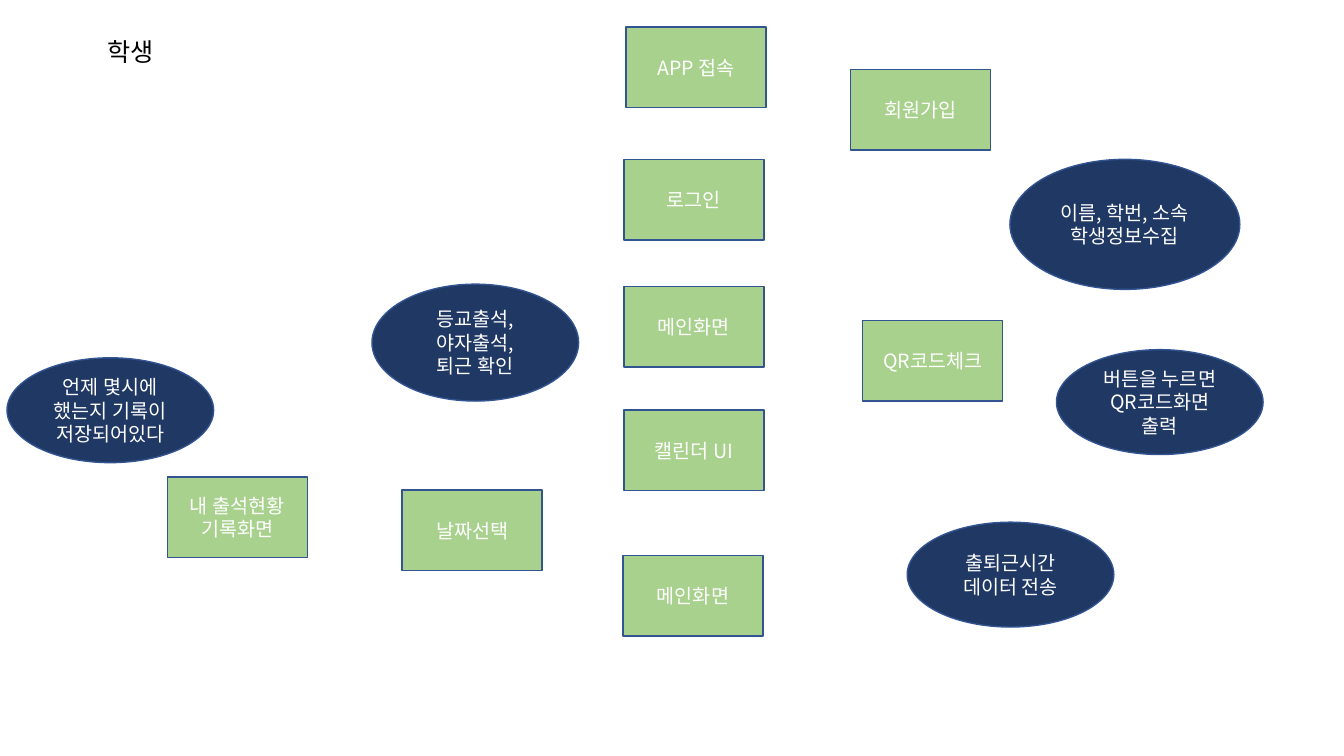
"""Build the student app flow slide."""
from dataclasses import dataclass

from lxml.etree import SubElement
from pptx import Presentation
from pptx.dml.color import RGBColor
from pptx.enum.shapes import MSO_SHAPE as Shape
from pptx.enum.text import MSO_ANCHOR as Anchor, MSO_AUTO_SIZE as AutoSize, PP_ALIGN as Align
from pptx.oxml.ns import qn
from pptx.util import Pt


@dataclass(frozen=True)
class Theme:
    """Colours, font and type sizes of the slide."""
    font: str = "Noto Sans CJK KR"
    title_size: int = 18
    label_size: int = 14
    ink: str = "000000"
    light: str = "FFFFFF"
    screen: str = "A9D18E"
    note: str = "203864"
    outline: str = "325491"


THEME = Theme()
SCREEN_SIZE = (100, 57.6)
NOTE_SIZE = (147.6, 74.9)
SCREENS = [
    (447.1, 19.4, "APP 접속"),
    (607.7, 49.7, "회원가입"),
    (445.7, 113.8, "로그인"),
    (445.7, 204.5, "메인화면"),
    (445.7, 293, "캘린더 UI"),
    (445, 396.7, "메인화면"),
    (287.3, 349.9, "날짜선택"),
    (616.3, 229, "QR코드체크"),
    (119.5, 340.6, "내 출석현황 기록화면"),
]
NOTES = [
    (648, 373, NOTE_SIZE, ["출퇴근시간", "데이터 전송"]),
    (721.4, 113.8, (164.2, 92.9), ["이름, 학번, 소속 학생정보수집"]),
    (265.7, 203, (147.6, 83.5), ["등교출석,", "야자출석,", "퇴근 확인"]),
    (754.6, 249.8, NOTE_SIZE, ["버튼을 누르면 QR코드화면 출력"]),
    (5, 255.6, NOTE_SIZE, ["언제 몇시에 했는지 기록이 저장되어있다"]),
]


def add_run(p, text, size, color):
    """Add one run in the theme font for Latin and Korean text."""
    r = p.add_run()
    r.text = text
    r.font.size = Pt(size)
    r.font.name = THEME.font
    r.font.color.rgb = RGBColor.from_string(color)
    SubElement(r.font._element, qn("a:ea"), typeface=THEME.font)


def add_title(s, text):
    """Place the heading in the title placeholder."""
    sp = s.shapes.title
    sp.left, sp.top, sp.width, sp.height = Pt(69.8), Pt(22.3), Pt(59), Pt(29)
    tf = sp.text_frame
    tf.word_wrap = False
    tf.auto_size = AutoSize.NONE
    tf.vertical_anchor = Anchor.TOP
    p = tf.paragraphs[0]
    p.alignment = Align.LEFT
    add_run(p, text, THEME.title_size, THEME.ink)


def add_node(s, kind, left, top, size, fill, lines):
    """Add a filled shape with centred lines of text."""
    width, height = size
    sp = s.shapes.add_shape(kind, Pt(left), Pt(top), Pt(width), Pt(height))
    sp.shadow.inherit = False
    sp.fill.solid()
    sp.fill.fore_color.rgb = RGBColor.from_string(fill)
    sp.line.color.rgb = RGBColor.from_string(THEME.outline)
    sp.line.width = Pt(1)
    tf = sp.text_frame
    tf.word_wrap = True
    tf.vertical_anchor = Anchor.MIDDLE
    for i, line in enumerate(lines):
        p = tf.add_paragraph() if i else tf.paragraphs[0]
        p.alignment = Align.CENTER
        add_run(p, line, THEME.label_size, THEME.light)


def main():
    """Build and save the slide."""
    prs = Presentation()
    prs.slide_width, prs.slide_height = Pt(960), Pt(540)
    s = prs.slides.add_slide(prs.slide_layouts[5])
    add_title(s, "학생")
    for left, top, text in SCREENS:
        add_node(s, Shape.RECTANGLE, left, top, SCREEN_SIZE, THEME.screen, [text])
    for left, top, size, lines in NOTES:
        add_node(s, Shape.FLOWCHART_CONNECTOR, left, top, size, THEME.note, lines)
    prs.save("out.pptx")


if __name__ == "__main__":
    main()
